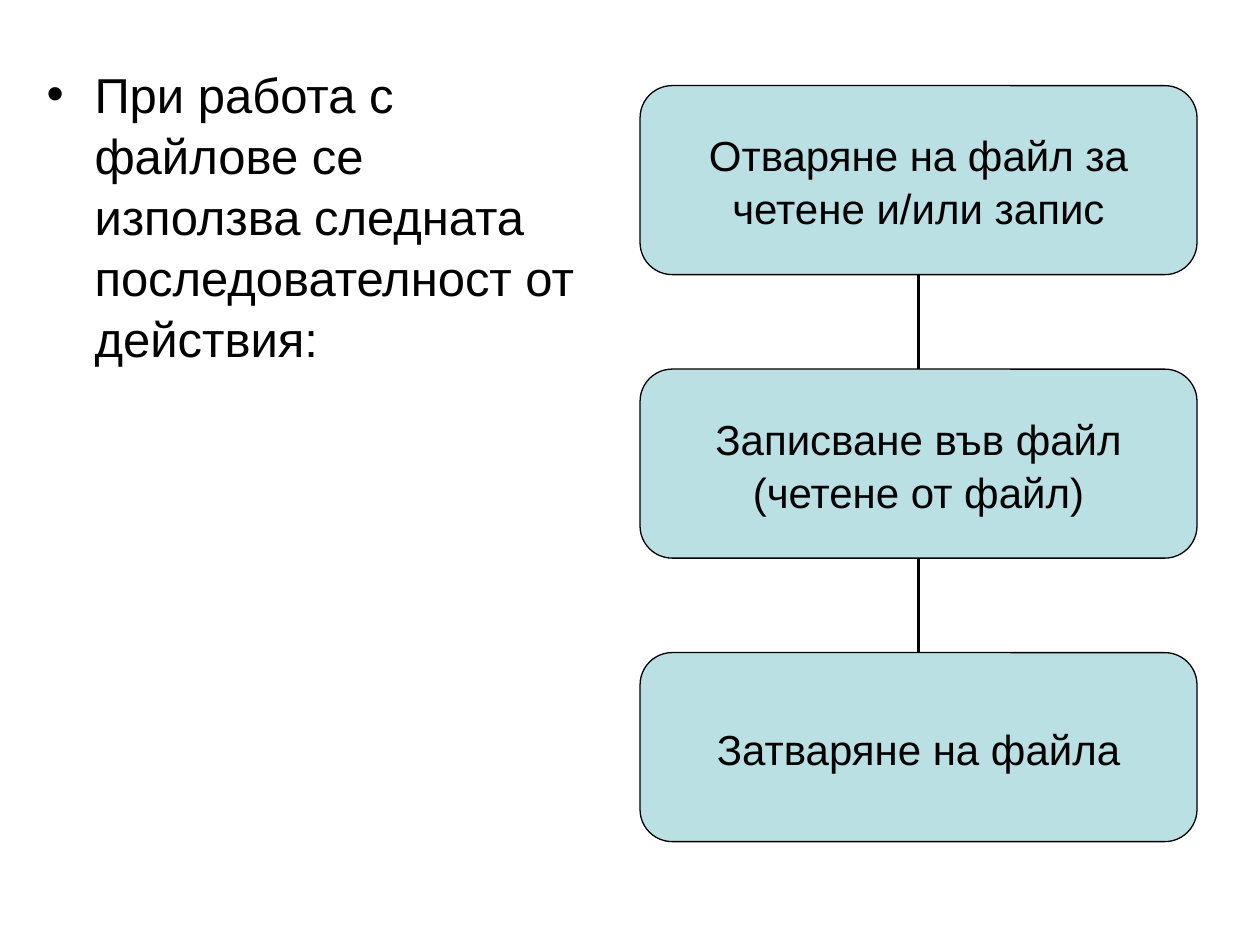
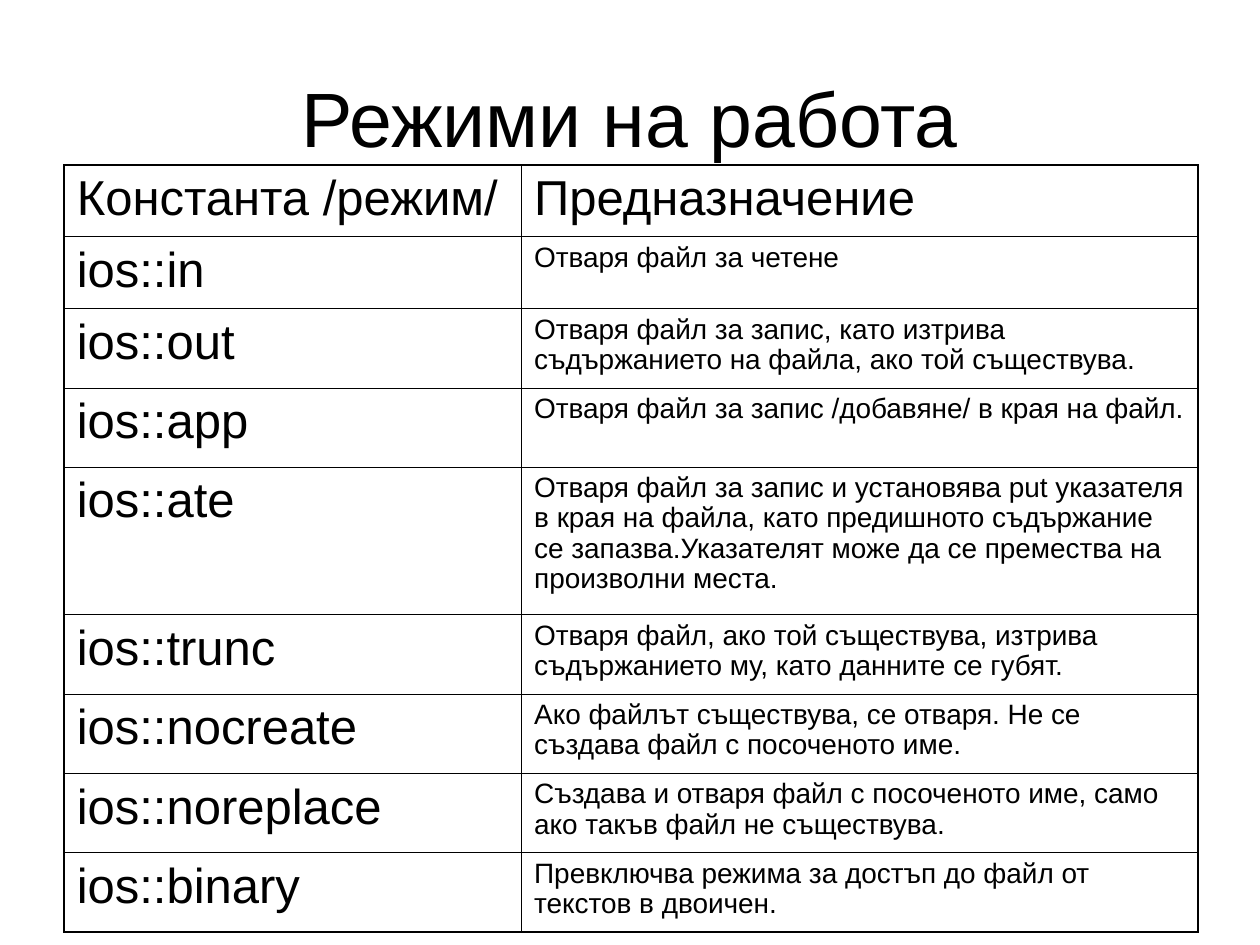
from lxml import etree
from pptx import Presentation
from pptx.dml.color import RGBColor
from pptx.enum.shapes import MSO_CONNECTOR, MSO_SHAPE
from pptx.enum.text import MSO_ANCHOR, MSO_AUTO_SIZE, PP_ALIGN
from pptx.oxml.ns import qn
from pptx.util import Inches, Pt

ROUNDED = MSO_SHAPE.ROUNDED_RECTANGLE
STRAIGHT = MSO_CONNECTOR.STRAIGHT
MIDDLE, TOP = MSO_ANCHOR.MIDDLE, MSO_ANCHOR.TOP
LEFT, CENTER = PP_ALIGN.LEFT, PP_ALIGN.CENTER
NO_FIT = MSO_AUTO_SIZE.NONE

BLACK = RGBColor(0x00, 0x00, 0x00)
PALE_TEAL = RGBColor(0xBB, 0xE0, 0xE3)
FONT = "Arial"
TITLE_AND_CONTENT, TITLE_ONLY = 1, 5


def write(frame, text, size, align=LEFT, spacing=1.0):
    """Fill a text frame, one paragraph for each line of text."""
    frame.text = text
    for para in frame.paragraphs:
        formats = {"alignment": align, "line_spacing": spacing, "space_before": Pt(0)}
        for name, value in formats.items():
            setattr(para, name, value)
        for span in para.runs:
            for name, value in {"name": FONT, "size": Pt(size), "bold": False}.items():
                setattr(span.font, name, value)
            span.font.color.rgb = BLACK


def place(box, left, top, width, height):
    """Move and size a placeholder, in inches."""
    lengths = {"left": left, "top": top, "width": width, "height": height}
    for name, value in lengths.items():
        setattr(box, name, Inches(value))


deck = Presentation()
deck.slide_width, deck.slide_height = Inches(10), Inches(7.5)

# Slide 1: sequence of file operations
page = deck.slides.add_slide(deck.slide_layouts[TITLE_AND_CONTENT])
empty_title = page.shapes.title.element
empty_title.getparent().remove(empty_title)

# Bulleted introduction
intro = page.placeholders[1]
place(intro, 0.27, 0.44, 4.42, 4.95)
intro.text_frame.auto_size = NO_FIT
write(intro.text_frame,
      "При работа с файлове се използва следната последователност от действия:",
      28, spacing=1.04)
bullet_props = intro.text_frame.paragraphs[0]._p.get_or_add_pPr()
bullet_props.set("marL", str(Inches(0.38)))
bullet_props.set("indent", str(-Inches(0.38)))

# Steps: each takes two grid rows, followed by a gap of one row
STEP_ROW = 0.75
steps = [
    "Отваряне на файл за\nчетене и/или запис",
    "Записване във файл\n(четене от файл)",
    "Затваряне на файла",
]
previous = None
for index, text in enumerate(steps):
    step = page.shapes.add_shape(
        ROUNDED, Inches(5.08), Inches(0.68 + 3 * STEP_ROW * index),
        Inches(4.42), Inches(2 * STEP_ROW))
    step.shadow.inherit = False
    step.adjustments[0] = 0.17
    step.fill.solid()
    step.fill.fore_color.rgb = PALE_TEAL
    step.line.color.rgb = BLACK
    step.line.width = Pt(0.75)
    frame = step.text_frame
    formats = {"word_wrap": False, "vertical_anchor": MIDDLE, "margin_left": 0,
               "margin_right": 0, "margin_top": 0, "margin_bottom": 0}
    for name, value in formats.items():
        setattr(frame, name, value)
    write(frame, text, 24, CENTER, 1.05)

    # Link from the step above
    if previous is not None:
        link = page.shapes.add_connector(STRAIGHT, 0, 0, 0, 0)
        link.begin_connect(previous, 2)
        link.end_connect(step, 0)
        link.line.color.rgb = BLACK
        link.line.width = Pt(2.25)
        etree.SubElement(link._element.spPr, qn("a:effectLst"))
    previous = step

# Slide 2: table of opening modes
page = deck.slides.add_slide(deck.slide_layouts[TITLE_ONLY])
title = page.shapes.title
place(title, 0.5, 0.3, 9, 1.25)
title.text_frame.auto_size = NO_FIT
title.text_frame.vertical_anchor = MIDDLE
write(title.text_frame, "Режими на работа", 44, CENTER)

modes = [
    ("Константа /режим/", "Предназначение"),
    ("ios::in", "Отваря файл за четене"),
    ("ios::out", "Отваря файл за запис, като изтрива съдържанието на файла, "
                 "ако той съществува."),
    ("ios::app", "Отваря файл за запис /добавяне/ в края на файл."),
    ("ios::ate", "Отваря файл за запис и установява put указателя в края на файла, "
                 "като предишното съдържание се запазва.Указателят може да се "
                 "премества на произволни места."),
    ("ios::trunc", "Отваря файл, ако той съществува, изтрива съдържанието му, "
                   "като данните се губят."),
    ("ios::nocreate", "Ако файлът съществува, се отваря. Не се създава файл "
                      "с посоченото име."),
    ("ios::noreplace", "Създава и отваря файл с посоченото име, само ако такъв "
                       "файл не съществува."),
    ("ios::binary", "Превключва режима за достъп до файл от текстов в двоичен."),
]
column_widths = [3.63, 5.37]
row_heights = [0.57] * 2 + [0.63] * 2 + [1.17] + [0.63] * 4
OUTER, INNER = Pt(1.08), Pt(0.45)

table = page.shapes.add_table(
    len(modes), 2, Inches(0.51), Inches(1.31),
    Inches(sum(column_widths)), Inches(sum(row_heights))).table
table.first_row = table.horz_banding = False
for column, width in zip(table.columns, column_widths):
    column.width = Inches(width)

for row, (height, texts) in enumerate(zip(row_heights, modes)):
    table.rows[row].height = Inches(height)
    for col, text in enumerate(texts):
        cell = table.cell(row, col)
        small = row > 0 and col == 1
        write(cell.text_frame, text, 16 if small else 28, spacing=0.97 if small else 1.0)
        cell.vertical_anchor = TOP

        # Borders: heavier around the outside
        on_edge = {"lnL": col == 0, "lnR": col == 1,
                   "lnT": row == 0, "lnB": row == len(modes) - 1}
        cell_props = cell._tc.get_or_add_tcPr()
        for side, outside in on_edge.items():
            border = etree.SubElement(cell_props, qn(f"a:{side}"),
                                      w=str(OUTER if outside else INNER))
            paint = etree.SubElement(border, qn("a:solidFill"))
            etree.SubElement(paint, qn("a:srgbClr"), val=str(BLACK))
        cell.fill.background()

deck.save("out.pptx")
